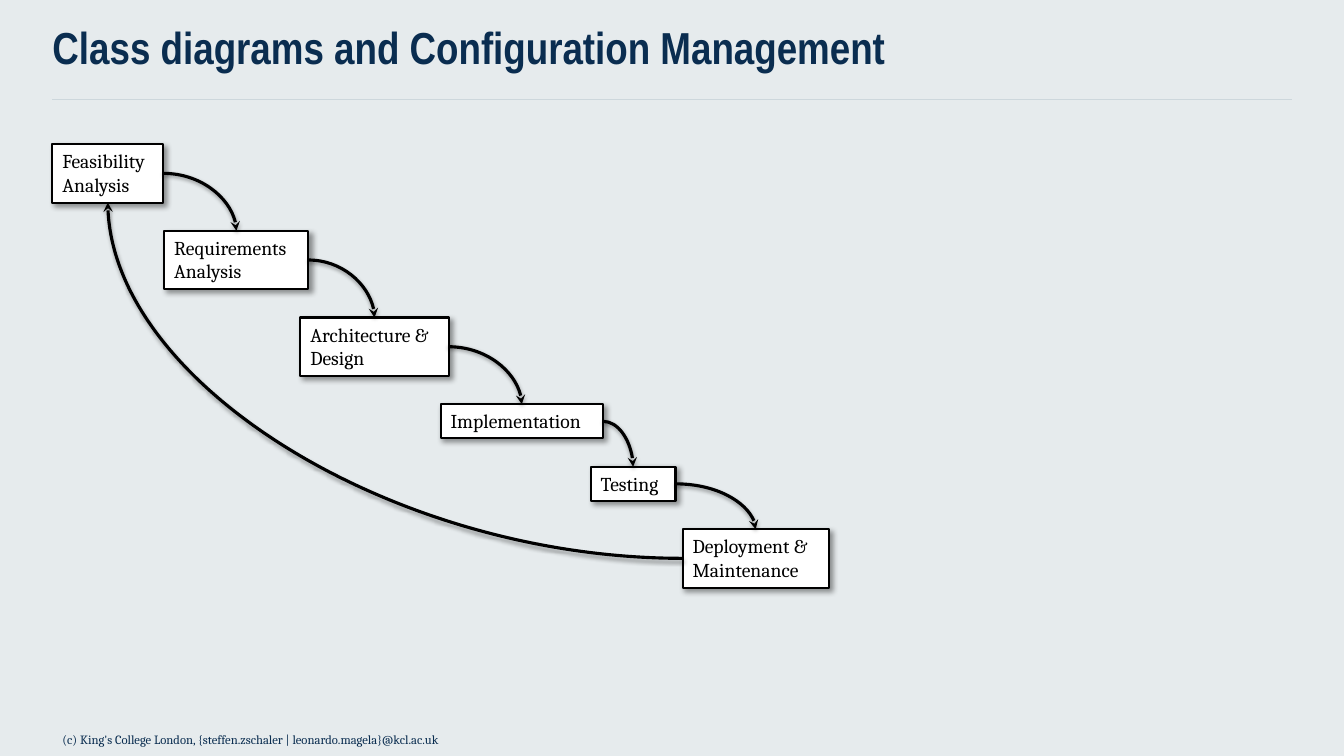
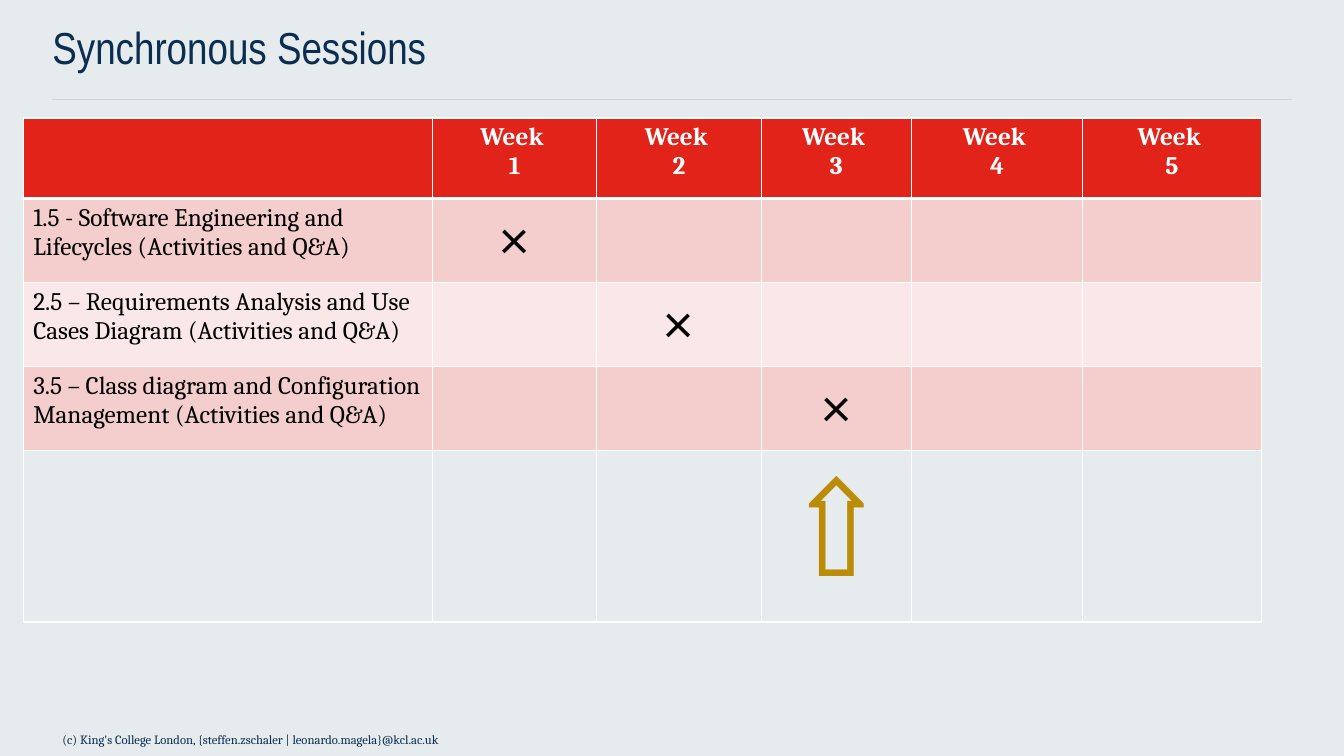
from itertools import pairwise

from lxml import etree
from pptx import Presentation
from pptx.dml.color import RGBColor
from pptx.enum.shapes import MSO_CONNECTOR, MSO_SHAPE
from pptx.enum.text import MSO_ANCHOR, MSO_AUTO_SIZE, PP_ALIGN
from pptx.oxml.ns import qn
from pptx.util import Inches, Pt

NAVY = RGBColor(0x0A, 0x2D, 0x50)
PALE = RGBColor(0xE6, 0xEB, 0xED)
MIST = RGBColor(0xCD, 0xD7, 0xDC)
RED = RGBColor(0xE2, 0x23, 0x1A)
ROSE = RGBColor(0xF4, 0xCD, 0xCD)
BLUSH = RGBColor(0xFA, 0xE8, 0xE8)
GOLD = RGBColor(0xBB, 0x8C, 0x08)
BLACK = RGBColor(0, 0, 0)
WHITE = RGBColor(0xFF, 0xFF, 0xFF)

HEAD = "Arial Narrow"
BODY = "Cambria"
LEFT, CENTER = PP_ALIGN.LEFT, PP_ALIGN.CENTER
TOP = MSO_ANCHOR.TOP
FIXED = MSO_AUTO_SIZE.NONE
RECT = MSO_SHAPE.RECTANGLE
LINE, CURVE = MSO_CONNECTOR.STRAIGHT, MSO_CONNECTOR.CURVE
NORTH, WEST, SOUTH, EAST = range(4)
PLAIN = "{2D5ABB26-0587-4C30-8999-92F81FD0307C}"
FOOTER = "(c) King's College London, {steffen.zschaler | leonardo.magela}@kcl.ac.uk"


def inches(*values):
    return [Inches(value) for value in values]


def node(parent, tag, **attrs):
    return etree.SubElement(parent, qn(tag), attrs)


def shade(effects, alpha, blur, dist, angle):
    shadow = node(effects, "a:outerShdw", blurRad=str(Pt(blur)), dist=str(Pt(dist)),
                  dir=str(angle * 60000), algn="ctr", rotWithShape="0")
    color = node(shadow, "a:srgbClr", val=str(BLACK))
    node(color, "a:alpha", val=str(alpha * 1000))


class Deck:
    def __init__(self):
        self.prs = Presentation()
        self.prs.slide_width, self.prs.slide_height = inches(13.33, 7.5)
        fill = self.prs.slide_master.background.fill
        fill.solid()
        fill.fore_color.rgb = PALE
        self.slide = None

    def label(self, frame, text, size, color, bold=False, align=LEFT, face=BODY):
        frame.text = text
        for para in frame.paragraphs:
            para.alignment = align
            font = para.font
            font.name, font.size, font.bold = face, Pt(size), bold
            font.color.rgb = color

    def page(self, text, bold=False):
        self.slide = self.prs.slides.add_slide(self.prs.slide_layouts[5])
        title = self.slide.shapes.title
        title.left, title.top, title.width, title.height = inches(0.52, 0.2, 12.28, 0.79)
        frame = title.text_frame
        frame.margin_left = frame.margin_right = frame.margin_top = frame.margin_bottom = 0
        frame.vertical_anchor, frame.auto_size = TOP, FIXED
        self.label(frame, text, 32, NAVY, bold, face=HEAD)
        self.rule()
        foot = self.slide.shapes.add_textbox(*inches(0.52, 7.21, 10.18, 0.29)).text_frame
        foot.word_wrap = True
        self.label(foot, FOOTER, 9, NAVY)

    def rule(self):
        rule = self.slide.shapes.add_connector(LINE, *inches(0.52, 0.99, 12.81, 0.99))
        rule.line.color.rgb, rule.line.width = MIST, Pt(1)
        node(rule._element.spPr, "a:effectLst")

    def box(self, text, left, top, width, height):
        box = self.slide.shapes.add_shape(RECT, *inches(left, top, width, height))
        box.fill.solid()
        box.fill.fore_color.rgb = WHITE
        box.line.color.rgb, box.line.width = BLACK, Pt(1.5)
        box.shadow.inherit = False
        shade(box._element.spPr.find(qn("a:effectLst")), 40, 4, 3, 45)
        frame = box.text_frame
        frame.word_wrap, frame.vertical_anchor = True, TOP
        self.label(frame, text, 14, BLACK)
        return box

    def arrow(self, start, side, end, goal):
        arrow = self.slide.shapes.add_connector(CURVE, 0, 0, 0, 0)
        arrow.begin_connect(start, side)
        arrow.end_connect(end, goal)
        arrow.line.color.rgb, arrow.line.width = BLACK, Pt(2.25)
        props = arrow._element.spPr
        props.find(qn("a:prstGeom")).set("prst", "curvedConnector2")
        node(props.find(qn("a:ln")), "a:tailEnd", type="stealth")
        shade(node(props, "a:effectLst"), 38, 3.1, 1.6, 90)

    def grid(self, left, top, widths, heights):
        frame = self.slide.shapes.add_table(
            len(heights), len(widths), *inches(left, top, sum(widths), sum(heights)))
        table = frame.table
        table.first_row = table.horz_banding = False
        frame._element.find(".//" + qn("a:tableStyleId")).text = PLAIN
        for column, width in zip(table.columns, widths):
            column.width = Inches(width)
        for row, height in zip(table.rows, heights):
            row.height = Inches(height)
        return table

    def cell(self, cell, text, size, color, fill, bold=False, align=LEFT, top=1, base=1):
        if fill is None:
            cell.fill.background()
        else:
            cell.fill.solid()
            cell.fill.fore_color.rgb = fill
        props = cell._tc.tcPr
        edges = {"L": 1, "R": 1, "T": top, "B": base}
        for place, (edge, width) in enumerate(edges.items()):
            line = node(props, f"a:ln{edge}", w=str(Pt(width)))
            node(node(line, "a:solidFill"), "a:srgbClr", val=str(WHITE))
            props.insert(place, line)
        if text:
            self.label(cell.text_frame, text, size, color, bold, align)


def cycle(deck):
    deck.page("Class diagrams and Configuration Management", bold=True)
    steps = [
        ("Feasibility\nAnalysis", 0.52, 1.1),
        ("Requirements\nAnalysis", 1.63, 1.43),
        ("Architecture &\nDesign", 2.98, 1.47),
        ("Implementation", 4.37, 1.61),
        ("Testing", 5.86, 0.84),
        ("Deployment &\nMaintenance", 6.77, 1.45),
    ]
    boxes = []
    top = 1.43
    for text, left, width in steps:
        height = 0.58 if "\n" in text else 0.34
        boxes.append(deck.box(text, left, top, width, height))
        top += height + 0.28
    for start, end in pairwise(boxes):
        deck.arrow(start, EAST, end, NORTH)
    deck.arrow(boxes[-1], WEST, boxes[0], SOUTH)


def plan(deck):
    deck.page("Synchronous Sessions")
    topics = [
        "1.5 - Software Engineering and Lifecycles (Activities and Q&A)",
        "2.5 – Requirements Analysis and Use Cases Diagram (Activities and Q&A)",
        "3.5 – Class diagram and Configuration Management (Activities and Q&A)",
    ]
    weeks, now = 5, 3
    table = deck.grid(0.23, 1.17, [4.06, 1.63, 1.63, 1.49, 1.7, 1.77],
                      [0.8, 0.8, 0.8, 0.8, 1.63])
    for week in range(weeks + 1):
        head = f"Week \n{week}" if week else ""
        deck.cell(table.cell(0, week), head, 18, WHITE, RED, True, CENTER, base=3)
        for row, topic in enumerate(topics, 1):
            fill = ROSE if row % 2 else BLUSH
            top = 3 if row == 1 else 1
            cell = table.cell(row, week)
            if week == 0:
                deck.cell(cell, topic, 18, BLACK, fill, top=top)
            else:
                mark = "×" if week == row else ""
                deck.cell(cell, mark, 44, BLACK, fill, align=CENTER, top=top)
        sign = "⇧" if week == now else ""
        deck.cell(table.cell(len(topics) + 1, week), sign, 96, GOLD, None, align=CENTER)


def main():
    deck = Deck()
    cycle(deck)
    plan(deck)
    deck.prs.save("out.pptx")


if __name__ == "__main__":
    main()
